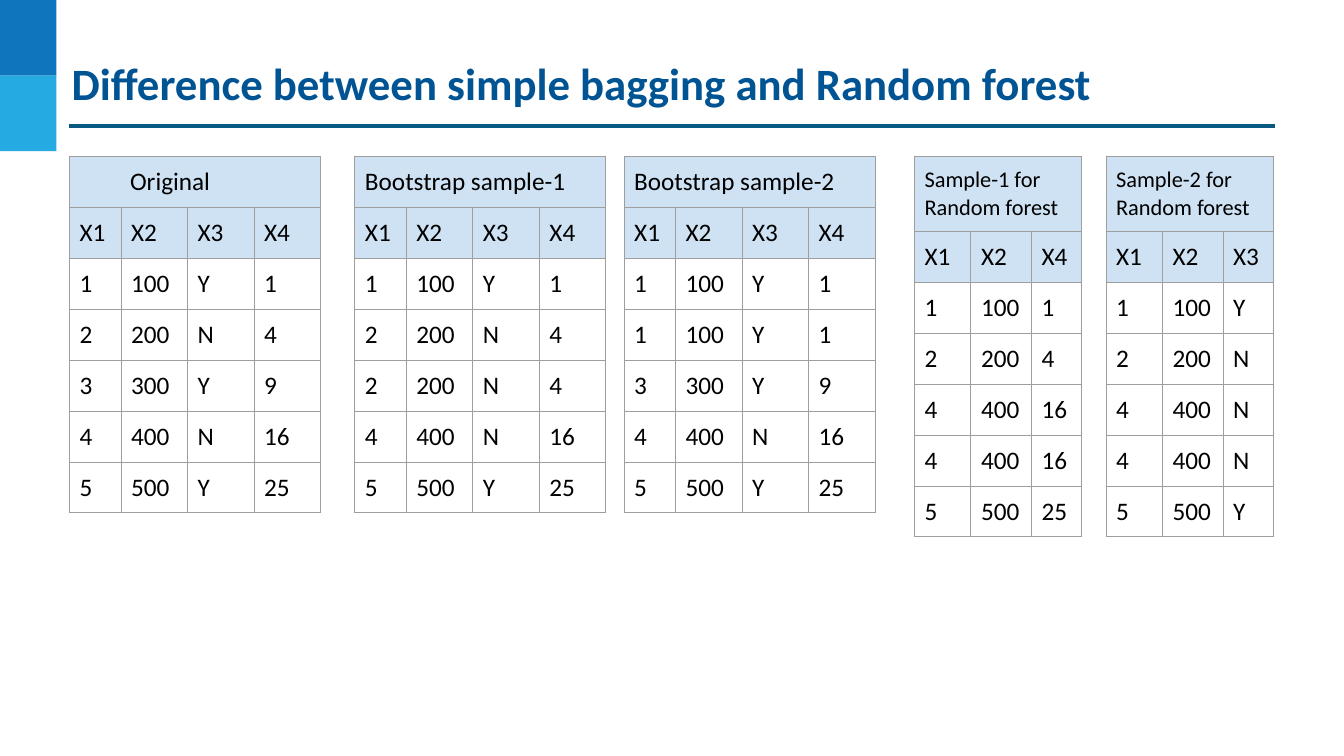
"""Build a slide that compares bagging samples with random forest samples."""
from lxml import etree
from pptx import Presentation
from pptx.dml.color import RGBColor
from pptx.enum.shapes import MSO_CONNECTOR, MSO_SHAPE
from pptx.enum.text import MSO_ANCHOR, MSO_AUTO_SIZE, PP_ALIGN
from pptx.oxml import parse_xml
from pptx.oxml.ns import nsdecls, qn
from pptx.util import Inches, Pt

RECTANGLE = MSO_SHAPE.RECTANGLE
STRAIGHT = MSO_CONNECTOR.STRAIGHT
TOP = MSO_ANCHOR.TOP
LEFT = PP_ALIGN.LEFT
NO_AUTOFIT = MSO_AUTO_SIZE.NONE

DARK_BLUE = RGBColor(0x0F, 0x75, 0xBD)
LIGHT_BLUE = RGBColor(0x25, 0xAA, 0xE2)
RULE_BLUE = RGBColor(0x09, 0x5A, 0x82)
TITLE_BLUE = RGBColor(0x00, 0x54, 0x93)
HEADER_BLUE = RGBColor(0xCF, 0xE2, 0xF3)
BORDER_GREY = RGBColor(0x9E, 0x9E, 0x9E)
BLACK = RGBColor(0x00, 0x00, 0x00)
FONT = "Calibri"
MARGIN = Inches(0.1)
ROW_HEIGHT = Inches(0.42)

RECORDS = {
    1: {"X1": "1", "X2": "100", "X3": "Y", "X4": "1"},
    2: {"X1": "2", "X2": "200", "X3": "N", "X4": "4"},
    3: {"X1": "3", "X2": "300", "X3": "Y", "X4": "9"},
    4: {"X1": "4", "X2": "400", "X3": "N", "X4": "16"},
    5: {"X1": "5", "X2": "500", "X3": "Y", "X4": "25"},
}
ALL_FEATURES = ["X1", "X2", "X3", "X4"]
BAGGING_WIDTHS = [0.51, 0.66, 0.66, 0.66]
FOREST_WIDTHS = [0.56, 0.6, 0.5]
SAMPLES = [
    ("Original", 0.69, 18, 0.5, ALL_FEATURES, BAGGING_WIDTHS, [1, 2, 3, 4, 5]),
    ("Bootstrap sample-1", 3.52, 18, 0, ALL_FEATURES, BAGGING_WIDTHS, [1, 2, 2, 4, 5]),
    ("Bootstrap sample-2", 6.19, 18, 0, ALL_FEATURES, BAGGING_WIDTHS, [1, 1, 3, 4, 5]),
    ("Sample-1 for Random forest", 9.07, 16, 0, ["X1", "X2", "X4"], FOREST_WIDTHS, [1, 2, 4, 4, 5]),
    ("Sample-2 for Random forest", 10.97, 16, 0, ["X1", "X2", "X3"], FOREST_WIDTHS, [1, 2, 4, 4, 5]),
]


def write_cell(cell, text, size):
    cell.margin_left = cell.margin_right = MARGIN
    cell.margin_top = cell.margin_bottom = MARGIN
    cell.text = text
    para = cell.text_frame.paragraphs[0]
    para.font.name = FONT
    para.font.size = Pt(size)
    para.font.color.rgb = BLACK


def outline_cell(cell):
    properties = cell._tc.get_or_add_tcPr()
    for side in ("lnL", "lnR", "lnT", "lnB"):
        properties.append(parse_xml(
            f'<a:{side} {nsdecls("a")} w="{Pt(0.75)}"><a:solidFill>'
            f'<a:srgbClr val="{BORDER_GREY}"/></a:solidFill></a:{side}>'))


deck = Presentation()
deck.slide_width = Inches(13.33)
deck.slide_height = Inches(7.5)
page = deck.slides.add_slide(deck.slide_layouts[5])

for index, color in enumerate((DARK_BLUE, LIGHT_BLUE)):
    block = page.shapes.add_shape(
        RECTANGLE, 0, Inches(0.75 * index), Inches(0.56), Inches(0.75))
    block.shadow.inherit = False
    block.fill.solid()
    block.fill.fore_color.rgb = color
    block.line.fill.background()

title_rule = page.shapes.add_connector(
    STRAIGHT, Inches(0.68), Inches(1.25), Inches(12.65), Inches(1.25))
title_rule.line.color.rgb = RULE_BLUE
title_rule.line.width = Pt(2.25)
etree.SubElement(title_rule._element.spPr, qn("a:effectLst"))

title = page.shapes.title
title.left, title.top = Inches(0.69), Inches(0.53)
title.width, title.height = Inches(12.29), Inches(0.83)
frame = title.text_frame
frame.text = "Difference between simple bagging and Random forest"
frame.word_wrap = True
frame.auto_size = NO_AUTOFIT
frame.vertical_anchor = TOP
frame.margin_left = frame.margin_right = Inches(0.02)
frame.margin_top = frame.margin_bottom = Inches(0.02)
heading = frame.paragraphs[0]
heading.alignment = LEFT
heading.font.name = FONT
heading.font.size = Pt(32)
heading.font.bold = True
heading.font.color.rgb = TITLE_BLUE

for name, left, name_size, indent, features, widths, drawn in SAMPLES:
    rows = [features] + [[RECORDS[number][feature] for feature in features] for number in drawn]
    row_count = len(rows) + 1
    table = page.shapes.add_table(
        row_count, len(features), Inches(left), Inches(1.55),
        Inches(sum(widths)), ROW_HEIGHT * row_count).table
    table.first_row = False
    table.horz_banding = False
    for column, width in zip(table.columns, widths):
        column.width = Inches(width)

    for row_index, row in enumerate(table.rows):
        row.height = ROW_HEIGHT
        for column_index, cell in enumerate(row.cells):
            outline_cell(cell)
            if row_index < 2:
                cell.fill.solid()
                cell.fill.fore_color.rgb = HEADER_BLUE
            else:
                cell.fill.background()
            if row_index > 0:
                write_cell(cell, rows[row_index - 1][column_index], 18)

    name_cell = table.cell(0, 0)
    name_cell.merge(table.cell(0, len(features) - 1))
    write_cell(name_cell, name, name_size)
    if indent:
        name_para = name_cell.text_frame.paragraphs[0]
        name_para._p.get_or_add_pPr().set("marL", str(Inches(indent)))

deck.save("out.pptx")
